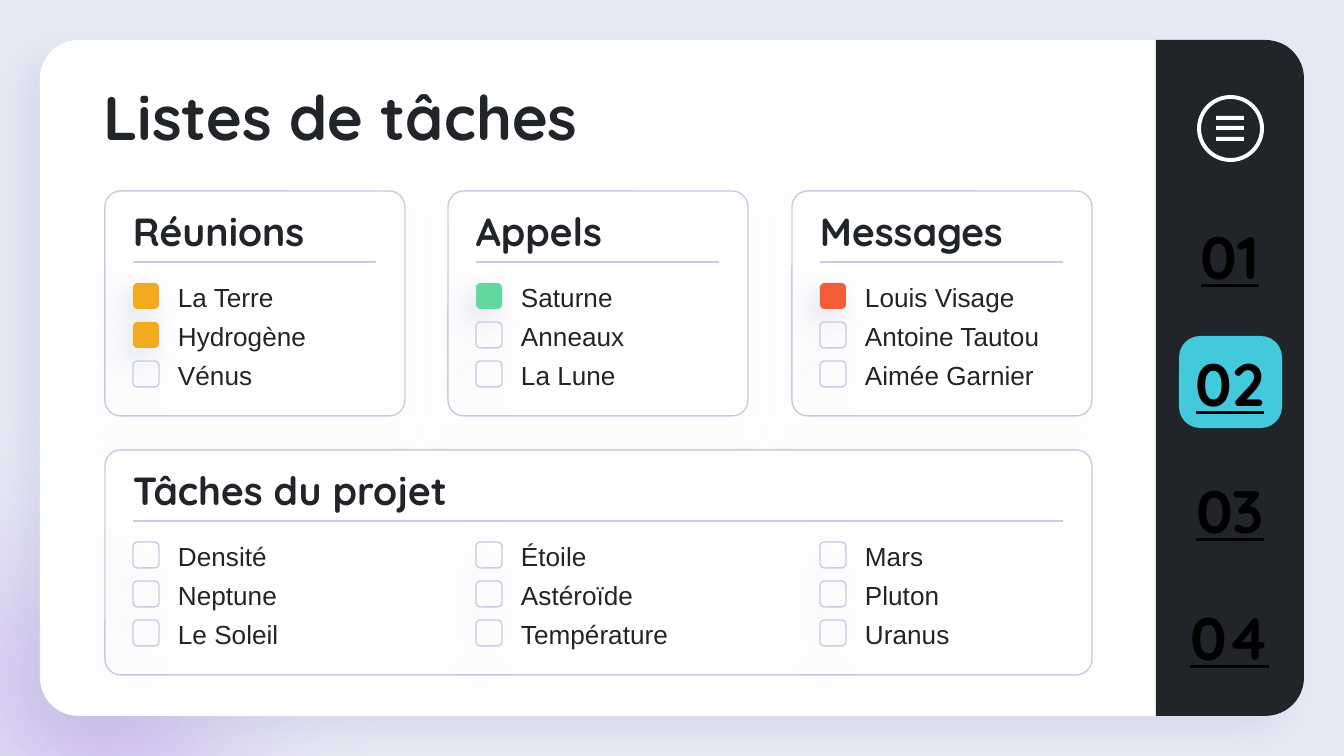
"""Build a task list slide with four checklist panels and a numbered sidebar."""
from pptx import Presentation
from pptx.dml.color import RGBColor
from pptx.enum.shapes import MSO_CONNECTOR, MSO_SHAPE
from pptx.enum.text import MSO_ANCHOR, MSO_AUTO_SIZE, PP_ALIGN
from pptx.oxml import parse_xml
from pptx.oxml.ns import nsdecls, qn
from pptx.util import Emu, Pt

PX = 914400 / 134.4
ROUNDED = MSO_SHAPE.ROUNDED_RECTANGLE
TOP_ROUNDED = MSO_SHAPE.ROUND_2_SAME_RECTANGLE
OVAL, RECTANGLE = MSO_SHAPE.OVAL, MSO_SHAPE.RECTANGLE
STRAIGHT = MSO_CONNECTOR.STRAIGHT
TOP, MIDDLE = MSO_ANCHOR.TOP, MSO_ANCHOR.MIDDLE
LEFT, CENTER = PP_ALIGN.LEFT, PP_ALIGN.CENTER
NO_AUTOFIT = MSO_AUTO_SIZE.NONE
INK, LILAC, WHITE, BLACK = "212428", "C7CCE2", "FFFFFF", "000000"
BACKDROP, ORANGE, GREEN, RED, CYAN = "E7E9F6", "F4AA1D", "60D9A1", "F35D35", "43C9DC"
HEADING_FONT, BODY_FONT = "Quicksand", "Arial"
SOFT_SHADOW = (63, 15.8, 6, 128)
CARD_SHADOW = (47, 16.9, 12, 137)

presentation = Presentation()
presentation.slide_width = Emu(round(1344 * PX))
presentation.slide_height = Emu(round(756 * PX))
slide = presentation.slides.add_slide(presentation.slide_layouts[5])
slide.background.fill.solid()
slide.background.fill.fore_color.rgb = RGBColor.from_string(BACKDROP)


def add_box(kind, box, fill=None, line=None, width=0.75, corner=None, shadow=None):
    shape = slide.shapes.add_shape(kind, *[Emu(round(value * PX)) for value in box])
    if corner is not None:
        shape.adjustments[0] = corner
    if fill:
        shape.fill.solid()
        shape.fill.fore_color.rgb = RGBColor.from_string(fill)
    else:
        shape.fill.background()
    if line:
        shape.line.color.rgb = RGBColor.from_string(line)
        shape.line.width = Pt(width)
    else:
        shape.line.fill.background()
    shape.shadow.inherit = False
    if shadow:
        alpha, blur, distance, angle = shadow
        shape.element.spPr.find(qn("a:effectLst")).append(parse_xml(
            f'<a:outerShdw {nsdecls("a")} blurRad="{Pt(blur)}" dist="{Pt(distance)}" '
            f'dir="{angle * 60000}" algn="bl" rotWithShape="0"><a:srgbClr val="{LILAC}">'
            f'<a:alpha val="{alpha * 1000}"/></a:srgbClr></a:outerShdw>'))
    return shape


def write_text(box, text, size, font, color=INK, bold=False, underline=False,
               inset=13, bottom=0, align=LEFT, anchor=TOP, shape=None):
    shape = shape or slide.shapes.add_textbox(0, 0, 0, 0)
    shape.left, shape.top, shape.width, shape.height = [Emu(round(v * PX)) for v in box]
    frame = shape.text_frame
    frame.text = text
    frame.word_wrap = True
    frame.auto_size = NO_AUTOFIT
    frame.vertical_anchor = anchor
    frame.margin_left, frame.margin_right = Emu(round(inset * PX)), Emu(round(13 * PX))
    frame.margin_top, frame.margin_bottom = 0, Emu(round(bottom * PX))
    paragraph = frame.paragraphs[0]
    paragraph.alignment = align
    run_font = paragraph.runs[0].font
    run_font.name, run_font.size = font, Pt(size)
    run_font.bold, run_font.underline = bold, underline
    run_font.color.rgb = RGBColor.from_string(color)


glow = add_box(OVAL, (-208, 367, 626, 626))
glow_properties = glow.element.spPr
glow_properties.replace(glow_properties.find(qn("a:noFill")), parse_xml(
    f'<a:gradFill {nsdecls("a")}><a:gsLst>'
    '<a:gs pos="0"><a:srgbClr val="A264E3"><a:alpha val="49000"/></a:srgbClr></a:gs>'
    f'<a:gs pos="62000"><a:srgbClr val="{BACKDROP}"><a:alpha val="0"/></a:srgbClr></a:gs>'
    f'<a:gs pos="100000"><a:srgbClr val="{WHITE}"><a:alpha val="0"/></a:srgbClr></a:gs>'
    '</a:gsLst><a:path path="circle"><a:fillToRect l="50000" t="50000" r="50000" b="50000"/>'
    '</a:path></a:gradFill>'))

add_box(ROUNDED, (40, 40, 1264, 676), WHITE, corner=0.057, shadow=CARD_SHADOW)
sidebar = add_box(TOP_ROUNDED, (892, 304, 676, 148), INK, corner=0.26)
sidebar.rotation = 90

add_box(OVAL, (1199, 97, 63, 63), line=WHITE, width=2.1)
for bar_top in (116, 126, 137):
    add_box(RECTANGLE, (1216, bar_top, 28, 4), WHITE)

title = slide.shapes.title
slide.shapes.element.append(title.element)
write_text((90, 79, 1001, 70), "Listes de tâches", 33, HEADING_FONT, bold=True,
           bottom=13, shape=title)

columns = (105, 448, 792)
panels = [
    (columns[0], 191, 300, "Réunions"),
    (columns[1], 191, 300, "Appels"),
    (columns[2], 191, 300, "Messages"),
    (columns[0], 450, 987, "Tâches du projet"),
]
for left, top, width, heading in panels:
    add_box(ROUNDED, (left, top, width, 225), line=LILAC, corner=0.07, shadow=SOFT_SHADOW)
    write_text((left + 28, top + 16, width - 57, 51), heading, 21, HEADING_FONT,
               bold=True, inset=0)
    rule_ends = (left + 28, top + 71, left + width - 29, top + 71)
    rule = slide.shapes.add_connector(STRAIGHT, *[Emu(round(v * PX)) for v in rule_ends])
    rule.line.color.rgb = RGBColor.from_string(LILAC)
    rule.line.width = Pt(0.75)
    rule.element.spPr.append(parse_xml(f'<a:effectLst {nsdecls("a")}/>'))

checklists = [
    (columns[0], 191, [("La Terre", ORANGE), ("Hydrogène", ORANGE), ("Vénus", None)]),
    (columns[1], 191, [("Saturne", GREEN), ("Anneaux", None), ("La Lune", None)]),
    (columns[2], 191, [("Louis Visage", RED), ("Antoine Tautou", None), ("Aimée Garnier", None)]),
    (columns[0], 450, [("Densité", None), ("Neptune", None), ("Le Soleil", None)]),
    (columns[1], 450, [("Étoile", None), ("Astéroïde", None), ("Température", None)]),
    (columns[2], 450, [("Mars", None), ("Pluton", None), ("Uranus", None)]),
]
for left, top, tasks in checklists:
    for row, (task, color) in enumerate(tasks):
        row_top = top + 90 + 39 * row
        write_text((left + 60, row_top, 211, 32), task, 14, BODY_FONT)
        add_box(ROUNDED, (left + 28, row_top + 2, 26, 26), color,
                line=None if color else LILAC, corner=0.17, shadow=SOFT_SHADOW)

add_box(ROUNDED, (1179, 336, 103, 92), CYAN, corner=0.23)
for index, number in enumerate(("01", "02", "03", "04")):
    write_text((1176, 219 + 127 * index, 108, 73), number, 32, HEADING_FONT, BLACK,
               bold=True, underline=True, align=CENTER, anchor=MIDDLE)

presentation.save("out.pptx")
